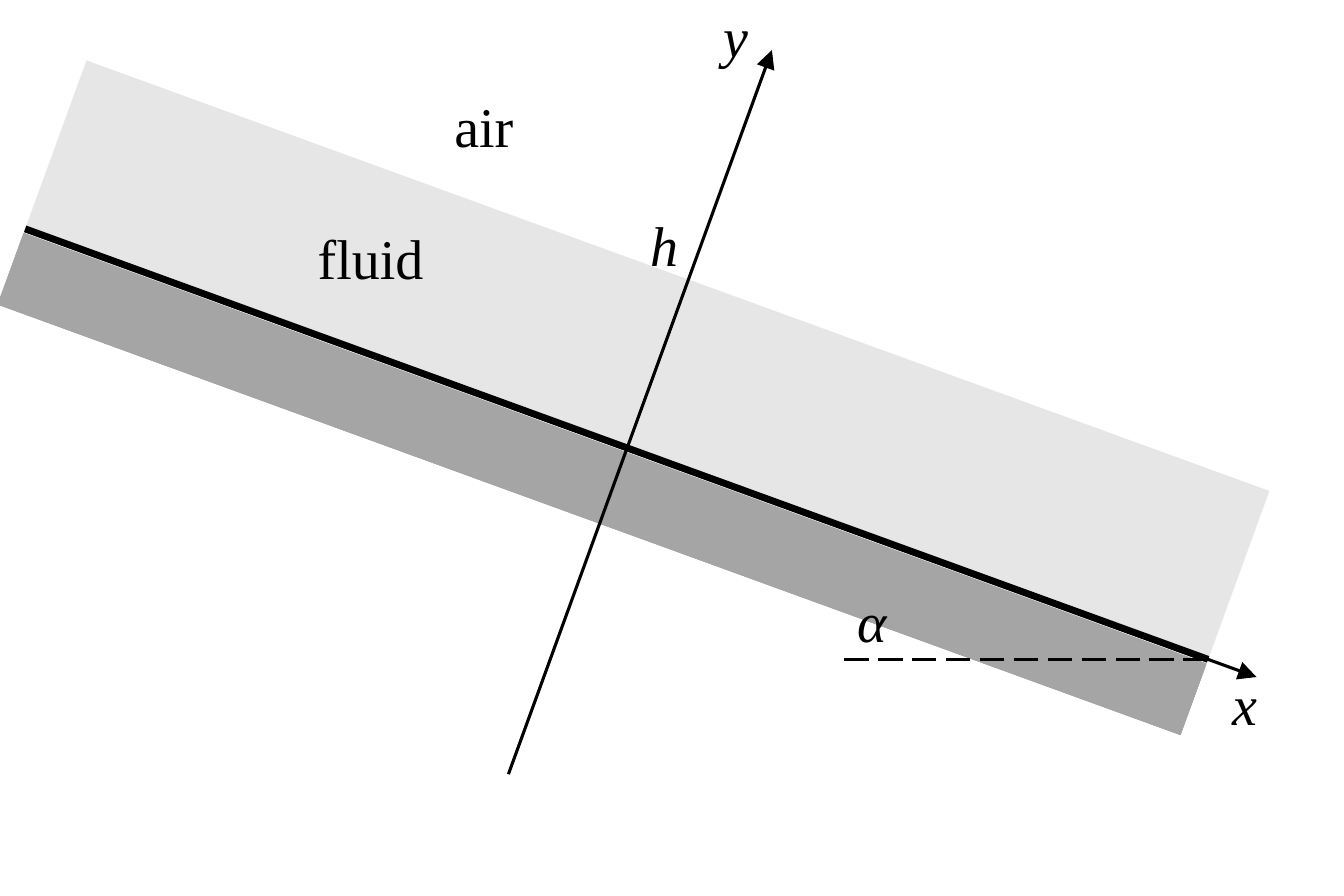
from dataclasses import dataclass
from math import cos, radians, sin

from lxml.etree import SubElement
from pptx import Presentation
from pptx.dml.color import RGBColor as RGB
from pptx.enum.dml import MSO_LINE_DASH_STYLE as DASH
from pptx.enum.shapes import MSO_CONNECTOR as CONN, MSO_SHAPE as SHAPE
from pptx.enum.text import MSO_AUTO_SIZE as AUTO, PP_ALIGN as ALIGN
from pptx.oxml.ns import qn
from pptx.util import Inches, Pt


@dataclass(frozen=True)
class Theme:
    ink: RGB = RGB(0x00, 0x00, 0x00)
    fluid: RGB = RGB(0xE7, 0xE6, 0xE6)
    wall_top: RGB = RGB(0xA0, 0xA0, 0xA0)
    wall_bottom: RGB = RGB(0xAA, 0xAA, 0xAA)
    font: str = "Times New Roman"
    size: float = 18
    thin: float = 1
    thick: float = 2.25


THEME = Theme()
SLOPE = 20
LENGTH = 5.62
SHIFT = -0.05
FLUID_DEPTH = 0.8
WALL_DEPTH = 0.34
WALL_MID = -0.19


def on_slope(origin, along, up):
    a = radians(SLOPE)
    return (origin[0] + along * cos(a) + up * sin(a),
            origin[1] + along * sin(a) - up * cos(a))


def add_text(s, text, left, top, width, italic=False, align=ALIGN.LEFT):
    tb = s.shapes.add_textbox(Inches(left), Inches(top), Inches(width), Inches(0.4))
    tf = tb.text_frame
    tf.word_wrap = False
    tf.auto_size = AUTO.SHAPE_TO_FIT_TEXT
    p = tf.paragraphs[0]
    p.alignment = align
    r = p.add_run()
    r.text = text
    r.font.name = THEME.font
    r.font.size = Pt(THEME.size)
    r.font.italic = italic
    r.font.color.rgb = THEME.ink


def add_line(s, start, end, weight=THEME.thin, dash=None, arrow=False):
    ends = [Inches(v) for v in (*start, *end)]
    line = s.shapes.add_connector(CONN.STRAIGHT, *ends)
    line.line.color.rgb = THEME.ink
    line.line.width = Pt(weight)
    if dash:
        line.line.dash_style = dash
    if arrow:
        SubElement(line.line._get_or_add_ln(), qn("a:tailEnd"), type="triangle")
    SubElement(line._element.spPr, qn("a:effectLst"))


def add_band(s, origin, mid, depth):
    x, y = on_slope(origin, SHIFT, mid)
    band = s.shapes.add_shape(SHAPE.RECTANGLE, Inches(x - LENGTH / 2),
                              Inches(y - depth / 2), Inches(LENGTH), Inches(depth))
    band.rotation = SLOPE
    band.shadow.inherit = False
    band.line.fill.background()
    return band


def draw_layers(s, origin):
    fluid = add_band(s, origin, FLUID_DEPTH / 2, FLUID_DEPTH)
    fluid.fill.solid()
    fluid.fill.fore_color.rgb = THEME.fluid

    left, right = (on_slope(origin, SHIFT + side * LENGTH / 2, 0) for side in (-1, 1))
    add_line(s, left, right, THEME.thick)

    wall = add_band(s, origin, WALL_MID, WALL_DEPTH)
    wall.fill.gradient()
    wall.fill.gradient_angle = 270
    for stop, color in zip(wall.fill.gradient_stops, (THEME.wall_top, THEME.wall_bottom)):
        stop.color.rgb = color


def draw_axes(s, origin):
    add_line(s, on_slope(origin, -2.63, 0), on_slope(origin, 2.99, 0), arrow=True)
    add_line(s, on_slope(origin, 0, -1.55), on_slope(origin, 0, 1.89), arrow=True)
    x, y = on_slope(origin, SHIFT + LENGTH / 2, 0)
    add_line(s, (x, y), (x - 1.65, y), dash=DASH.LONG_DASH)


def draw_labels(s, origin):
    x, y = origin
    for text, dx, dy, width in (("y", 0.33, -2.04, 0.31), ("x", 2.6, 0.94, 0.31),
                                ("h", 0, -1.11, 0.33), ("α", 0.92, 0.57, 0.34)):
        add_text(s, text, x + dx, y + dy, width, italic=True, align=ALIGN.RIGHT)
    for text, dx, dy, width in (("fluid", -1.48, -1.05, 0.68), ("air", -0.87, -1.64, 0.47)):
        add_text(s, text, x + dx, y + dy, width)


def main():
    prs = Presentation()
    prs.slide_width, prs.slide_height = Inches(6), Inches(4)
    s = prs.slides.add_slide(prs.slide_layouts[6])
    origin = (2.8, 2)
    draw_layers(s, origin)
    draw_axes(s, origin)
    draw_labels(s, origin)
    prs.save("out.pptx")


if __name__ == "__main__":
    main()
